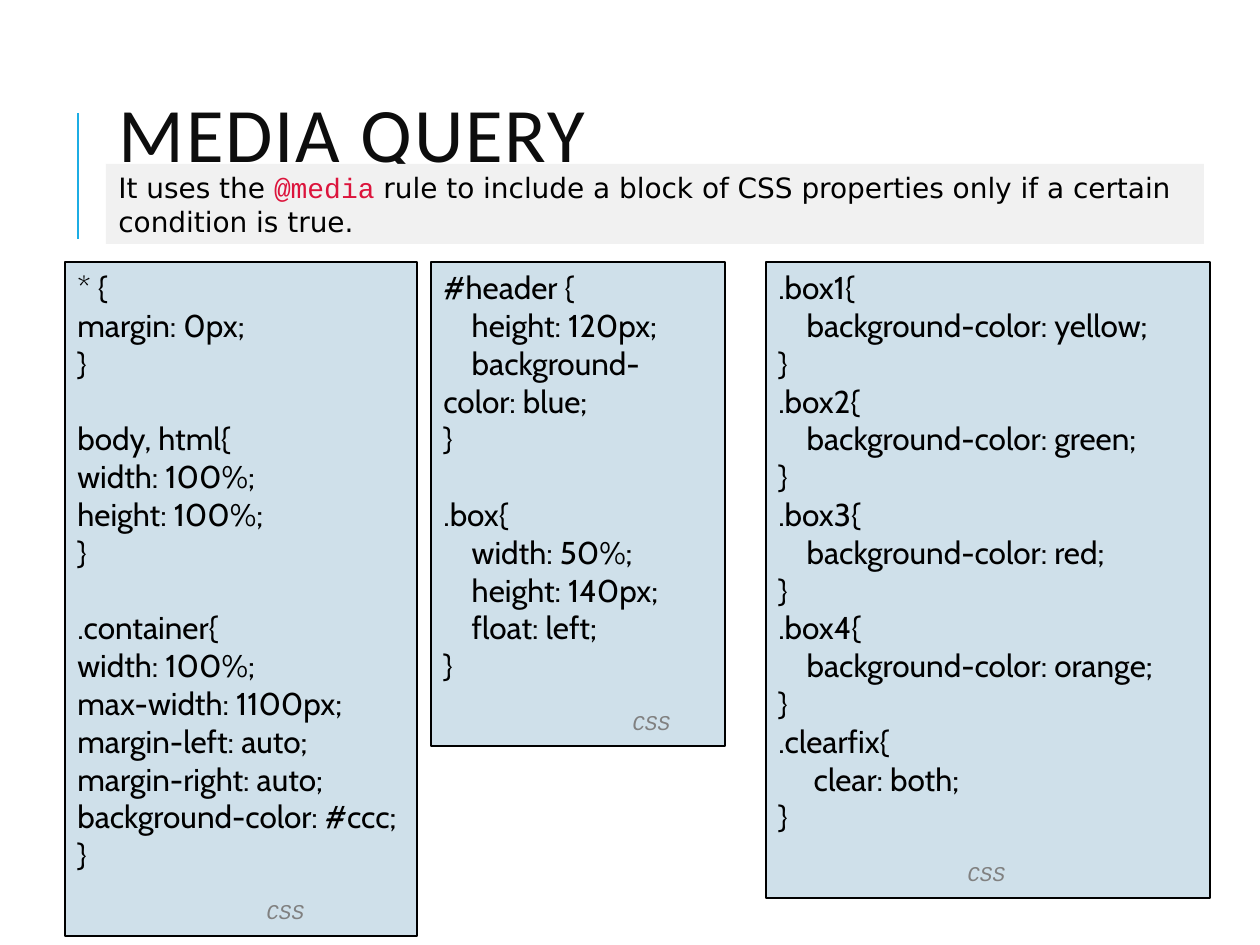
import pptx
import pptx.util
import pptx.dml.color
import pptx.enum.shapes
import pptx.enum.text
import pptx.oxml

PX = 7257
NBSP = chr(160)


def paint(target, color):
    if hasattr(target, "solid"):
        target.solid()
        target = target.fore_color
    target.rgb = pptx.dml.color.RGBColor.from_string(color)


def add_text(para, text, size, font, color="000000", italic=None):
    span = para.add_run()
    span.text = text
    span.font.size = pptx.util.Pt(size)
    span.font.name = font
    span.font.italic = italic
    paint(span.font.fill, color)
    return span


deck = pptx.Presentation()
deck.slide_width = 1260 * PX
deck.slide_height = 945 * PX
page = deck.slides.add_slide(deck.slide_layouts[5])

title = page.shapes.title
title.left, title.top, title.width, title.height = 106 * PX, 81 * PX, 1004 * PX, 118 * PX
title.text_frame.auto_size = pptx.enum.text.MSO_AUTO_SIZE.NONE
title.text_frame.vertical_anchor = pptx.enum.text.MSO_ANCHOR.MIDDLE
para = title.text_frame.paragraphs[0]
para.alignment = pptx.enum.text.PP_ALIGN.LEFT
para.line_spacing = 0.8
span = add_text(para, "MEDIA QUERY", 44, "Calibri", "0D0D0D")
span.font._element.set("spc", "100")

accent = page.shapes.add_connector(
    pptx.enum.shapes.MSO_CONNECTOR.STRAIGHT, 78 * PX, 239 * PX, 78 * PX, 113 * PX
)
paint(accent.line.fill, "1CADE4")
accent.line.width = pptx.util.Pt(1.5)
accent._element.spPr.append(pptx.oxml.parse_xml(
    '<a:effectLst xmlns:a="http://schemas.openxmlformats.org/drawingml/2006/main"/>'
))

summary = page.shapes.add_shape(
    pptx.enum.shapes.MSO_SHAPE.RECTANGLE, 106 * PX, 164 * PX, 1098 * PX, 80 * PX
)
summary.shadow.inherit = False
paint(summary.fill, "F1F1F1")
summary.line.fill.background()
summary.text_frame.word_wrap = True
summary.text_frame.vertical_anchor = pptx.enum.text.MSO_ANCHOR.MIDDLE
para = summary.text_frame.paragraphs[0]
para.alignment = pptx.enum.text.PP_ALIGN.LEFT
add_text(para, "It uses the ", 16, "DejaVu Sans")
add_text(para, "@media", 16, "Courier New", "DC143C")
add_text(
    para,
    " rule to include a block of CSS properties only if a certain condition is true.",
    16,
    "DejaVu Sans",
)

base_rules = [
    ["* {", "margin: 0px;", "}"],
    ["body, html{", "width: 100%;", "height: 100%;", "}"],
    [".container{", "width: 100%;", "max-width: 1100px;", "margin-left: auto;",
     "margin-right: auto;", "background-color: #ccc;", "}"],
]
layout_rules = [
    ["#header {", "    height: 120px;", "    background-color: blue;", "}"],
    [".box{", "    width: 50%;", "    height: 140px;", "    float: left;", "}"],
]
color_rules = [[
    ".box1{", "    background-color: yellow;", "}",
    ".box2{", "    background-color: green;", "}",
    ".box3{", "    background-color: red;", "}",
    ".box4{", "    background-color: orange;", "}",
    ".clearfix{", "     clear: both;", "}",
]]

for left, width, height, rules in [
    (65, 352, 674, base_rules),
    (431, 294, 484, layout_rules),
    (766, 444, 636, color_rules),
]:
    box = page.shapes.add_shape(
        pptx.enum.shapes.MSO_SHAPE.RECTANGLE, left * PX, 262 * PX, width * PX, height * PX
    )
    box.shadow.inherit = False
    paint(box.fill, "CFE0EA")
    paint(box.line.fill, "000000")
    box.line.width = pptx.util.Pt(1.5)
    frame = box.text_frame
    frame.word_wrap = True
    frame.vertical_anchor = pptx.enum.text.MSO_ANCHOR.TOP
    para = frame.paragraphs[0]
    for rule_index, rule in enumerate(rules):
        for line_index, line in enumerate(rule):
            if rule_index or line_index:
                para = frame.add_paragraph()
            if rule_index and not line_index:
                para.space_before = pptx.util.Pt(21.6)
            para.alignment = pptx.enum.text.PP_ALIGN.LEFT
            add_text(para, line.replace(" ", NBSP), 18, "Cabin")
    para = frame.add_paragraph()
    para.alignment = pptx.enum.text.PP_ALIGN.LEFT
    para.space_before = pptx.util.Pt(14.4)
    para._p.get_or_add_pPr().set("marL", str(189 * PX))
    add_text(para, "CSS", 12, "Courier New", "808080", italic=True)

deck.save("out.pptx")
